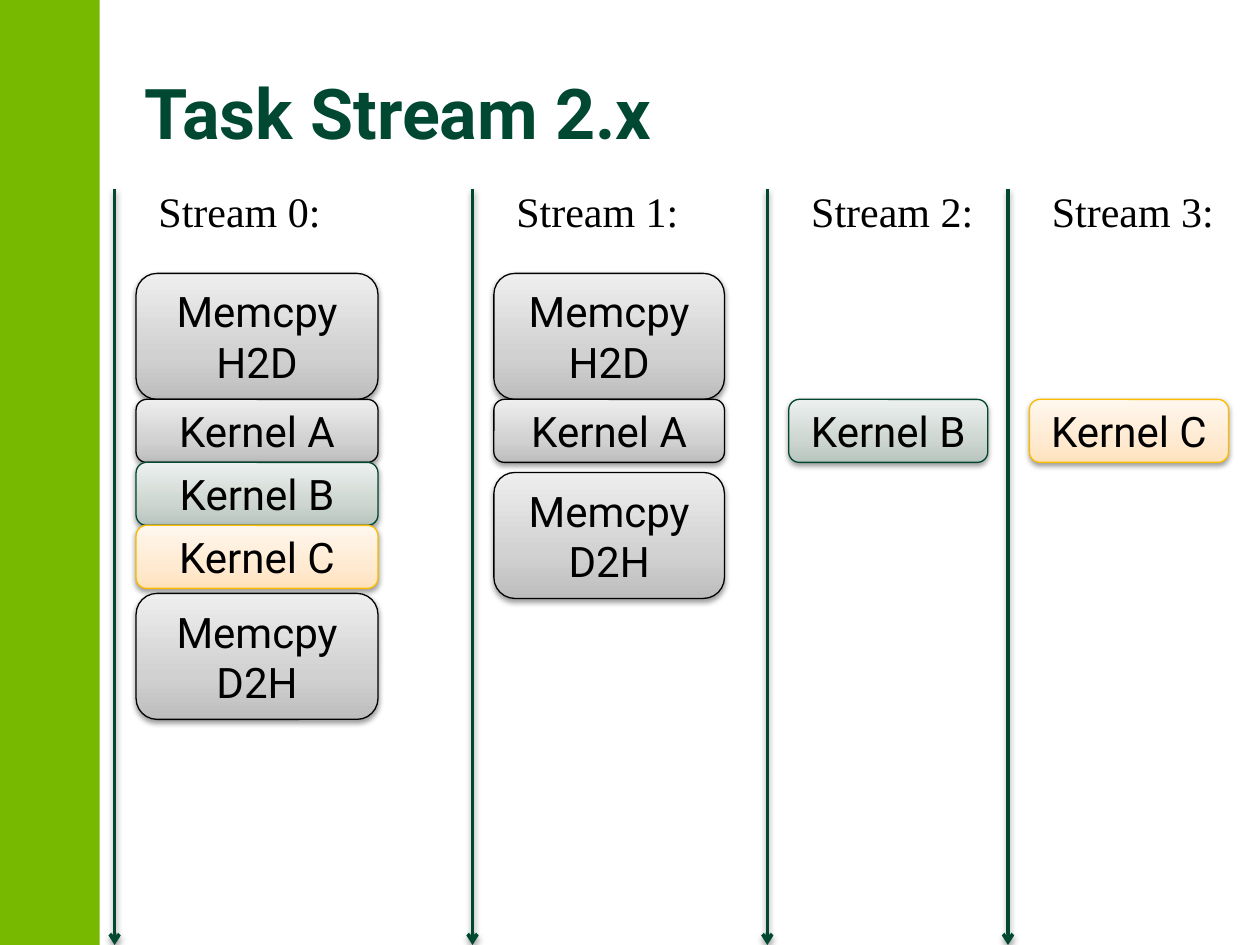
from copy import deepcopy

from lxml import etree
from pptx import Presentation
from pptx.dml.color import RGBColor
from pptx.enum.shapes import MSO_CONNECTOR, MSO_SHAPE
from pptx.enum.text import MSO_ANCHOR, PP_ALIGN
from pptx.oxml import parse_xml
from pptx.oxml.ns import qn
from pptx.util import Inches, Pt

RECT, ROUND = MSO_SHAPE.RECTANGLE, MSO_SHAPE.ROUNDED_RECTANGLE
LINE = MSO_CONNECTOR.STRAIGHT
MIDDLE, TOP = MSO_ANCHOR.MIDDLE, MSO_ANCHOR.TOP
LEFT, CENTER = PP_ALIGN.LEFT, PP_ALIGN.CENTER

LIME = RGBColor(0x76, 0xB9, 0x00)
GREEN = RGBColor(0x00, 0x48, 0x31)
PINE = RGBColor(0x00, 0x46, 0x30)
GOLD = RGBColor(0xF9, 0xBC, 0x00)
BLACK = RGBColor(0x00, 0x00, 0x00)

# Outline, then the fill from bottom to top
GRAY = (BLACK, (RGBColor(0xBD, 0xBD, 0xBD), RGBColor(0xD1, 0xD1, 0xD1),
                RGBColor(0xEE, 0xEE, 0xEE)))
SAGE = (PINE, (RGBColor(0xB8, 0xC5, 0xBE), RGBColor(0xCE, 0xD6, 0xD1),
               RGBColor(0xEC, 0xF0, 0xEE)))
PEACH = (GOLD, (RGBColor(0xFF, 0xE2, 0xBD), RGBColor(0xFF, 0xEA, 0xD1),
                RGBColor(0xFF, 0xF7, 0xEE)))
STOPS = (0, 0.35, 1)

SANS, SERIF = "Roboto", "Times New Roman"
WIDE, HIGH = 10, 7.5
START = 1.5           # top of the stream arrows
ROW = 0.5             # height of one line of work
FIRST = 2.17          # top of the first task
KERNEL = FIRST + 2 * ROW
INSET = 0.17          # from arrow to tasks

H2D, D2H = "Memcpy\nH2D", "Memcpy\nD2H"
A, B, C = "Kernel A", "Kernel B", "Kernel C"

# Arrow x, task width, tasks as (text, top, tone)
STREAMS = [
    (0.91, 1.92, [(H2D, FIRST, GRAY), (A, KERNEL, GRAY),
                  (B, KERNEL + ROW, SAGE), (C, KERNEL + 2 * ROW, PEACH),
                  (D2H, 4.71, GRAY)]),
    (3.75, 1.83, [(H2D, FIRST, GRAY), (A, KERNEL, GRAY),
                  (D2H, 3.75, GRAY)]),
    (6.09, 1.58, [(B, KERNEL, SAGE)]),
    (8, 1.58, [(C, KERNEL, PEACH)]),
]

SHADOW = (
    '<a:effectLst xmlns:a="http://schemas.openxmlformats.org/drawingml/2006/main">'
    '<a:outerShdw blurRad="40000" dist="20000" dir="5400000" rotWithShape="0">'
    '<a:srgbClr val="000000"><a:alpha val="38000"/></a:srgbClr>'
    '</a:outerShdw></a:effectLst>')


def write(shape, text, size, font, color, align=LEFT, anchor=TOP, bold=False):
    frame = shape.text_frame
    frame.text = text
    frame.vertical_anchor = anchor
    for para in frame.paragraphs:
        para.alignment = align
        para.font.size = Pt(size)
        para.font.name = font
        para.font.bold = bold
        para.font.color.rgb = color
    return frame


def add_label(slide, box, text, *style, **more):
    label = slide.shapes.add_textbox(*map(Inches, box))
    return write(label, text, *style, **more)


def add_bar(slide):
    bar = slide.shapes.add_shape(RECT, 0, 0, Inches(0.79), Inches(HIGH))
    bar.shadow.inherit = False
    bar.fill.solid()
    bar.fill.fore_color.rgb = LIME
    bar.line.fill.background()


def add_arrow(slide, x):
    ends = map(Inches, (x, START, x, HIGH))
    arrow = slide.shapes.add_connector(LINE, *ends)
    arrow.line.color.rgb = GREEN
    arrow.line.width = Pt(2)
    etree.SubElement(arrow.line._get_or_add_ln(), qn("a:tailEnd"), type="arrow")
    arrow._element.spPr.append(parse_xml(SHADOW))


def shade(shape, colors):
    """Fill with a three-stop gradient that runs upwards."""
    shape.fill.gradient()
    shape.fill.gradient_angle = 90
    stops = shape._element.spPr.find(".//" + qn("a:gsLst"))
    stops.append(deepcopy(stops[-1]))
    for stop, spot, color in zip(shape.fill.gradient_stops, STOPS, colors):
        stop.position = spot
        stop.color.rgb = color


def add_task(slide, x, top, width, text, tone):
    high = ROW * len(text.split("\n"))
    task = slide.shapes.add_shape(ROUND, *map(Inches, (x, top, width, high)))
    edge, colors = tone
    shade(task, colors)
    task.line.color.rgb = edge
    task.line.width = Pt(0.75)
    task._element.spPr.append(parse_xml(SHADOW))
    write(task, text, 24, SANS, BLACK, CENTER, MIDDLE)


def add_stream(slide, index, x, width, tasks):
    add_arrow(slide, x)
    for text, top, tone in tasks:
        add_task(slide, x + INSET, top, width, text, tone)
    label = add_label(slide, (x + 0.25, 1.42, 1.5, ROW), f"Stream {index}:",
                      24, SERIF, BLACK)
    label.word_wrap = False


def main():
    deck = Presentation()
    deck.slide_width, deck.slide_height = Inches(WIDE), Inches(HIGH)
    slide = deck.slides.add_slide(deck.slide_layouts[6])
    add_bar(slide)
    title = add_label(slide, (1.05, 0.3, 8.58, 1.25), "Task Stream 2.x",
                      40, SANS, GREEN, anchor=MIDDLE, bold=True)
    title.word_wrap = True
    title.paragraphs[0].line_spacing = 0.9
    for index, stream in enumerate(STREAMS):
        add_stream(slide, index, *stream)
    deck.save("out.pptx")


if __name__ == "__main__":
    main()
